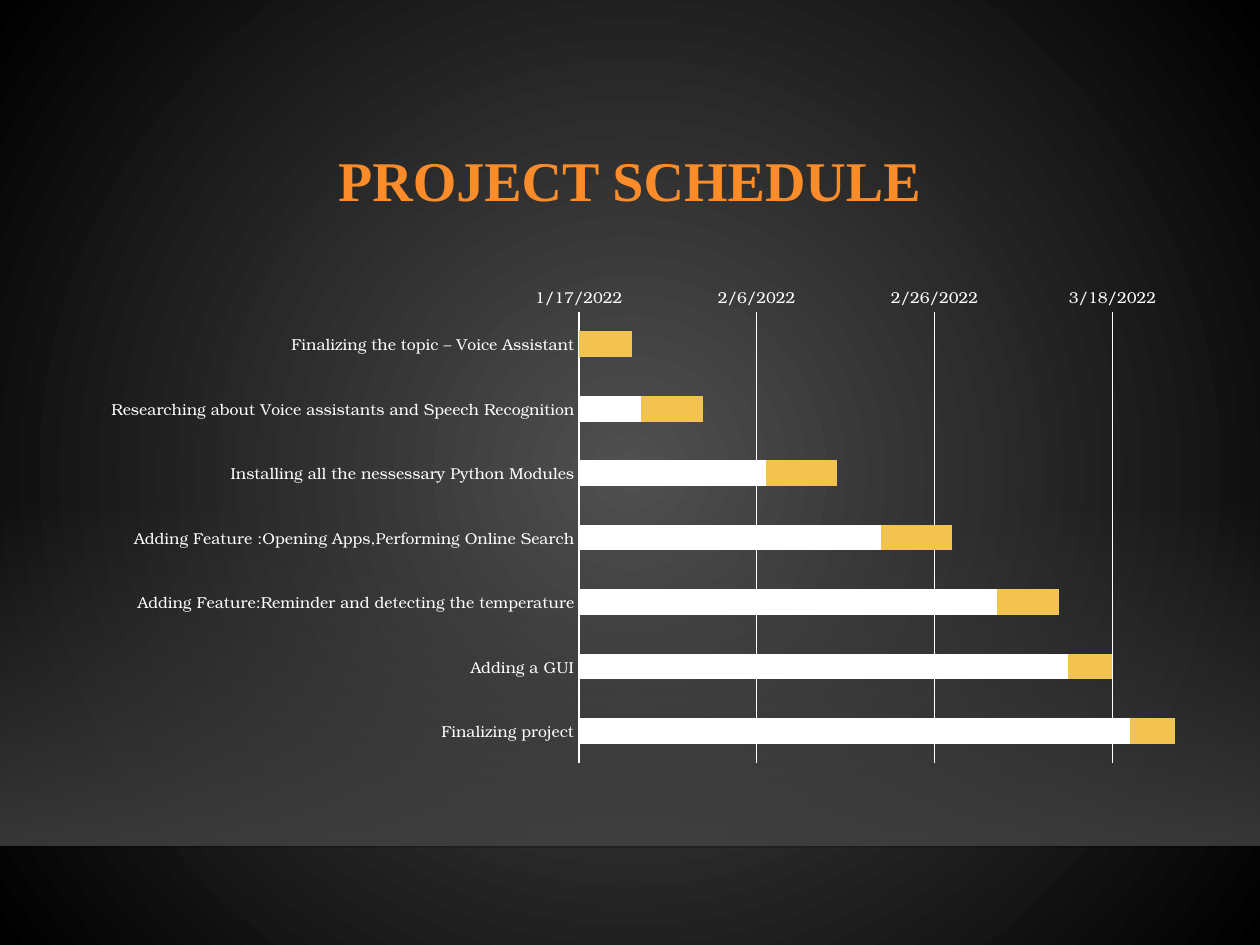
from lxml import etree
from pptx import Presentation
from pptx import util as u
from pptx.chart import data as chart_data
from pptx.dml import color
from pptx.enum import chart as ch, shapes, text
from pptx.oxml import parse_xml
from pptx.oxml.ns import nsdecls, qn

# Content: task, start day (spreadsheet serial date), length in days
TITLE = "PROJECT SCHEDULE"
TASKS = [
    ("Finalizing the topic – Voice Assistant", 44578, 6),
    ("Researching about Voice assistants and Speech Recognition", 44585, 7),
    ("Installing all the nessessary Python Modules", 44599, 8),
    ("Adding Feature :Opening Apps,Performing Online Search", 44612, 8),
    ("Adding Feature:Reminder and detecting the temperature", 44625, 7),
    ("Adding a GUI", 44633, 5),
    ("Finalizing project", 44640, 5),
]
FIRST_DAY = TASKS[0][1]
LAST_DAY = TASKS[-1][1] + TASKS[-1][2]
COLORS = {"title": "FB8C29", "light": "FFFFFF", "duration": "F2C351", "glow": "505050",
          "dark": "000000", "floor": "454545", "edge": "000001"}
TITLE_FONT, CHART_FONT = "Times New Roman", "TeX Gyre Bonum"


def rgb(name):
    return color.RGBColor.from_string(COLORS[name])


def style_font(font, name, size, tint, bold=False):
    font.name, font.size, font.bold = name, u.Pt(size), bold
    font.color.rgb = rgb(tint)


def write(frame, words, align=text.PP_ALIGN.CENTER, spacing=0.9, **font):
    frame.word_wrap = True
    frame.vertical_anchor = text.MSO_ANCHOR.MIDDLE
    paragraph = frame.paragraphs[0]
    paragraph.alignment, paragraph.line_spacing = align, spacing
    run = paragraph.add_run()
    run.text = words
    style_font(run.font, **font)


def set_gradient(parent, stops, direction):
    """Swap the solid fill under parent for a gradient of (position, colour, opacity)."""
    marks = "".join(
        f'<a:gs pos="{pos * 1000}"><a:srgbClr val="{COLORS[name]}">'
        f'<a:alpha val="{opacity * 1000}"/></a:srgbClr></a:gs>'
        for pos, name, opacity in stops)
    solid = parent.find(".//" + qn("a:solidFill"))
    solid.getparent().replace(solid, parse_xml(
        f'<a:gradFill {nsdecls("a")} rotWithShape="1"><a:gsLst>{marks}</a:gsLst>'
        f'{direction}</a:gradFill>'))


prs = Presentation()
prs.slide_width, prs.slide_height = u.Cm(25.4), u.Cm(19.05)
slide = prs.slides.add_slide(prs.slide_layouts[5])

# Background glow
slide.background.fill.solid()
set_gradient(slide.background._cSld, [(0, "glow", 100), (100, "dark", 100)],
             '<a:path path="circle"><a:fillToRect l="50000" t="50000" r="50000" b="50000"/></a:path>')

# Title
title = slide.shapes.title
title.left, title.top, title.width, title.height = u.Cm(4.01), u.Cm(2.24), u.Cm(17.37), u.Cm(2.92)
write(title.text_frame, TITLE, name=TITLE_FONT, size=32, tint="title", bold=True)

# Floor and its edge, behind the title
floor = slide.shapes.add_shape(shapes.MSO_SHAPE.RECTANGLE, 0, u.Cm(10.06), prs.slide_width, u.Cm(6.99))
floor.shadow.inherit = False
floor.line.fill.background()
floor.fill.solid()
set_gradient(floor._element.spPr, [(0, "floor", 0), (100, "floor", 80)], '<a:lin ang="5400000" scaled="0"/>')
edge = slide.shapes.add_connector(shapes.MSO_CONNECTOR.STRAIGHT, 0, u.Cm(17.07), prs.slide_width, u.Cm(17.07))
edge.line.width = u.Pt(1)
edge.line.color.rgb = rgb("edge")
edge_props = edge._element.spPr
etree.SubElement(edge_props.find(".//" + qn("a:srgbClr")), qn("a:alpha"), val="20000")
etree.SubElement(edge_props, qn("a:effectLst"))
for part in (floor, edge):
    title._element.addprevious(part._element)

# Schedule chart
names, starts, lengths = zip(*TASKS)
schedule = chart_data.CategoryChartData()
schedule.categories = names
schedule.add_series("Series 1", starts)
schedule.add_series("Series 2", lengths)
gantt = slide.shapes.add_chart(ch.XL_CHART_TYPE.BAR_STACKED, u.Cm(1.8), u.Cm(5.56),
                               u.Cm(22.33), u.Cm(10.01), schedule).chart
gantt.has_legend = gantt.has_title = False
style_font(gantt.font, CHART_FONT, 10, "light")

bars = gantt.plots[0]
bars.gap_width, bars.overlap, bars.vary_by_categories = 150, 100, False
for series, tint in zip(bars.series, ("light", "duration")):
    series.format.fill.solid()
    series.format.fill.fore_color.rgb = rgb(tint)
    series.invert_if_negative = False

# Axes
task_axis, date_axis = gantt.category_axis, gantt.value_axis
for axis in (task_axis, date_axis):
    axis.major_tick_mark = axis.minor_tick_mark = ch.XL_TICK_MARK.NONE
    style_font(axis.tick_labels.font, CHART_FONT, 9, "light")
task_axis.reverse_order = True
date_axis.minimum_scale, date_axis.maximum_scale, date_axis.major_unit = FIRST_DAY, LAST_DAY, 20
date_axis.tick_labels.number_format = "m/d/yyyy"
date_axis.tick_labels.number_format_is_linked = False
date_axis.has_major_gridlines = True
date_axis.format.line.fill.background()
for line in (task_axis.format.line, date_axis.major_gridlines.format.line):
    line.width = u.Pt(0.75)
    line.color.rgb = rgb("light")

# Plot area as shares of the chart frame
plot_area = gantt._chartSpace.chart.plotArea
for old in plot_area.findall(qn("c:layout")):
    plot_area.remove(old)
shares = "".join(f'<c:{key} val="{value}"/>' for key, value in (
    ("layoutTarget", "inner"), ("xMode", "edge"), ("yMode", "edge"),
    ("x", 0.442), ("y", 0.073), ("w", 0.538), ("h", 0.909)))
plot_area.insert(0, parse_xml(
    f'<c:layout {nsdecls("c")}><c:manualLayout>{shares}</c:manualLayout></c:layout>'))

prs.save("out.pptx")
